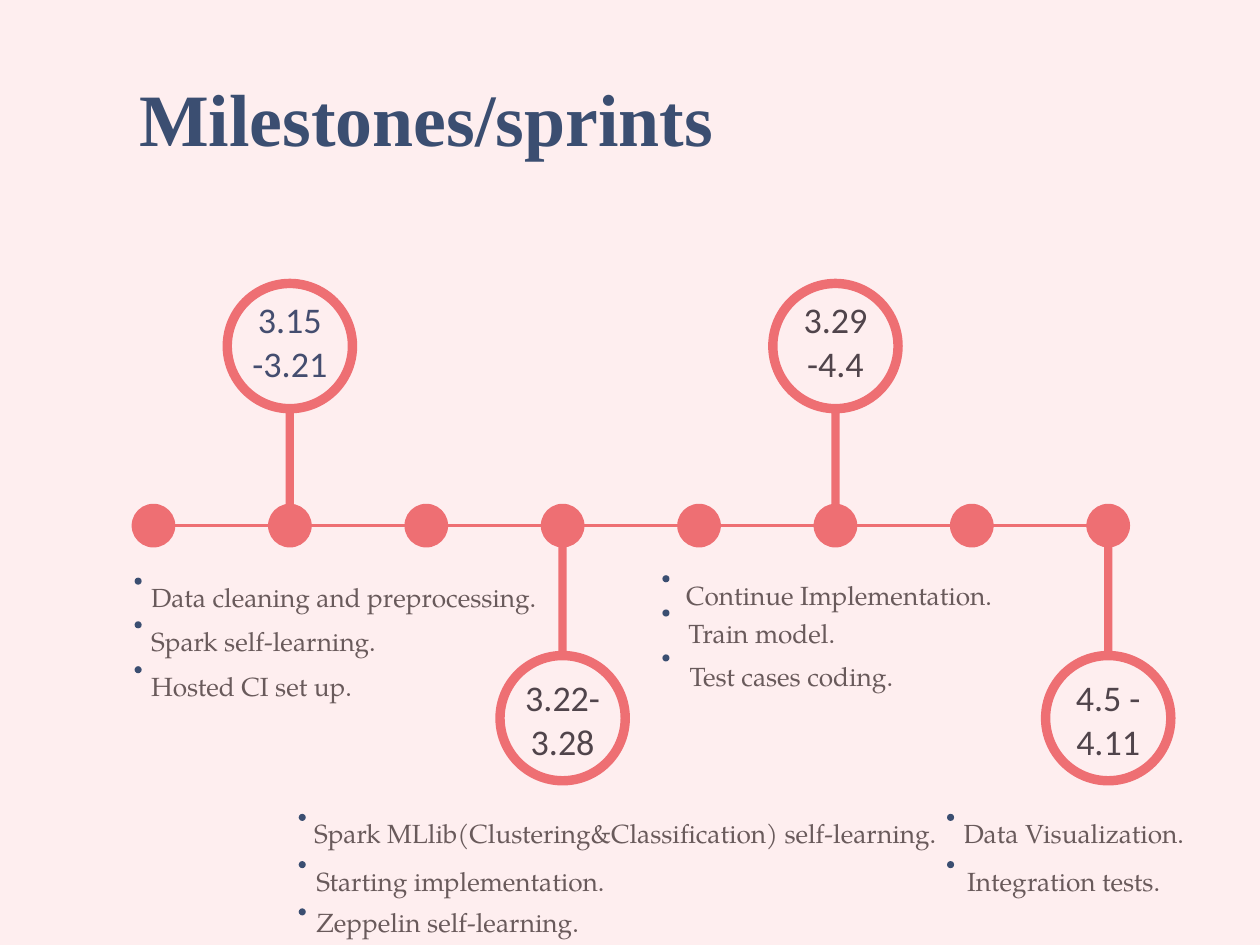
from pptx import Presentation
from pptx import util as u
from pptx.dml.color import RGBColor
from pptx.enum import shapes, text
from pptx.oxml.ns import qn
from lxml import etree

CORAL, NAVY, SLATE, GREY = "ED7074", "254C72", "3D4147", "595959"
WIDTH, HEIGHT = 10.67, 8
FIRST, COLUMN = 1.3, 1.155      # centre of the first dot, step between dots
AXIS = 4.45                     # height of the time line
DOT, RING, BULLET = 0.37, 1.14, 0.06
STEM_WIDTH, STEM_HEIGHT = 0.07, 0.93

deck = Presentation()
deck.slide_width, deck.slide_height = u.Inches(WIDTH), u.Inches(HEIGHT)
page = deck.slides.add_slide(deck.slide_layouts[6])
page.background.fill.solid()
page.background.fill.fore_color.rgb = RGBColor.from_string("FEFEFE")


def add_shape(kind, left, top, width, height, color):
    shape = page.shapes.add_shape(kind, *map(u.Inches, (left, top, width, height)))
    shape.shadow.inherit = False
    shape.fill.solid()
    shape.fill.fore_color.rgb = RGBColor.from_string(color)
    shape.line.fill.background()
    return shape


def add_text(lines, left, top, width, height, font, size, color,
             align=text.PP_ALIGN.LEFT, spacing=1.0, bold=False, wrap=True):
    box = page.shapes.add_textbox(*map(u.Inches, (left, top, width, height)))
    frame = box.text_frame
    frame.margin_left = frame.margin_right = frame.margin_top = frame.margin_bottom = 0
    frame.word_wrap = wrap
    frame.auto_size = text.MSO_AUTO_SIZE.SHAPE_TO_FIT_TEXT
    for index, line in enumerate(lines):
        para = frame.add_paragraph() if index else frame.paragraphs[0]
        para.alignment, para.line_spacing = align, spacing
        span = para.add_run()
        span.text = line
        span.font.name, span.font.size, span.font.bold = font, u.Pt(size), bold
        span.font.color.rgb = RGBColor.from_string(color)


# Title
add_text(["Milestones/sprints"], 1.17, 0.66, 4.88, 0.79, "Times New Roman", 45, NAVY,
         text.PP_ALIGN.CENTER, u.Pt(51), bold=True, wrap=False)

# Time line with eight dots
axis = page.shapes.add_connector(
    shapes.MSO_CONNECTOR.STRAIGHT, u.Inches(FIRST), u.Inches(AXIS),
    u.Inches(FIRST + 7 * COLUMN), u.Inches(AXIS))
axis.line.width = u.Pt(2)
axis.line.color.rgb = RGBColor.from_string(CORAL)
etree.SubElement(axis._element.spPr, qn("a:effectLst"))
for column in range(8):
    add_shape(shapes.MSO_SHAPE.OVAL, FIRST + column * COLUMN - DOT / 2, AXIS - DOT / 2,
              DOT, DOT, CORAL)

# Sprint dates in rings, above and below the line in turn
sprints = [
    (1, ["3.15", "-3.21"], "2F4B6F"),
    (3, ["3.22-", "3.28"], SLATE),
    (5, ["3.29 -4.4"], SLATE),
    (7, ["4.5 - 4.11"], SLATE),
]
for column, dates, color in sprints:
    center = FIRST + column * COLUMN
    above = column % 4 == 1
    stem_top, ring_top, date_top = (3.46, 2.36, 2.52) if above else (4.61, 5.51, 5.72)
    add_shape(shapes.MSO_SHAPE.RECTANGLE, center - STEM_WIDTH / 2, stem_top,
              STEM_WIDTH, STEM_HEIGHT, CORAL)
    ring = add_shape(shapes.MSO_SHAPE.DONUT, center - RING / 2, ring_top, RING, RING, CORAL)
    ring.adjustments[0] = 0.07
    add_text(dates, center - 0.5, date_top, 1, 0.72, "Calibri", 22, color,
             text.PP_ALIGN.CENTER)

# Tasks of each sprint: bullet left, text width, then (text, left, top, bullet top)
tasks = [
    (1.14, 3.43, [("Data cleaning and preprocessing.", 1.28, 4.79, 4.89),
                  ("Spark self-learning.", 1.28, 5.16, 5.26),
                  ("Hosted CI set up.", 1.28, 5.54, 5.64)]),
    (2.53, 5.54, [("Spark MLlib(Clustering&Classification) self-learning.", 2.66, 6.79, 6.89),
                  ("Starting implementation.", 2.68, 7.19, 7.29),
                  ("Zeppelin self-learning.", 2.68, 7.54, 7.69)]),
    (5.61, 2.96, [("Continue Implementation.", 5.81, 4.77, 4.87),
                  ("Train model.", 5.83, 5.09, 5.16),
                  ("Test cases coding.", 5.84, 5.46, 5.54)]),
    (8.02, 2.24, [("Data Visualization.", 8.16, 6.79, 6.89),
                  ("Integration tests.", 8.19, 7.19, 7.29)]),
]
for bullet_left, width, items in tasks:
    for task, left, top, bullet_top in items:
        add_shape(shapes.MSO_SHAPE.OVAL, bullet_left, bullet_top, BULLET, BULLET, NAVY)
        add_text([task], left, top, width, 0.26, "TeX Gyre Pagella", 16, GREY, spacing=1.5)

# Pale tint over the whole slide
tint = add_shape(shapes.MSO_SHAPE.RECTANGLE, 0, 0, WIDTH, HEIGHT, "FF6770")
tint_color = tint._element.spPr.find(qn("a:solidFill")).find(qn("a:srgbClr"))
etree.SubElement(tint_color, qn("a:alpha")).set("val", "10000")

deck.save("out.pptx")
